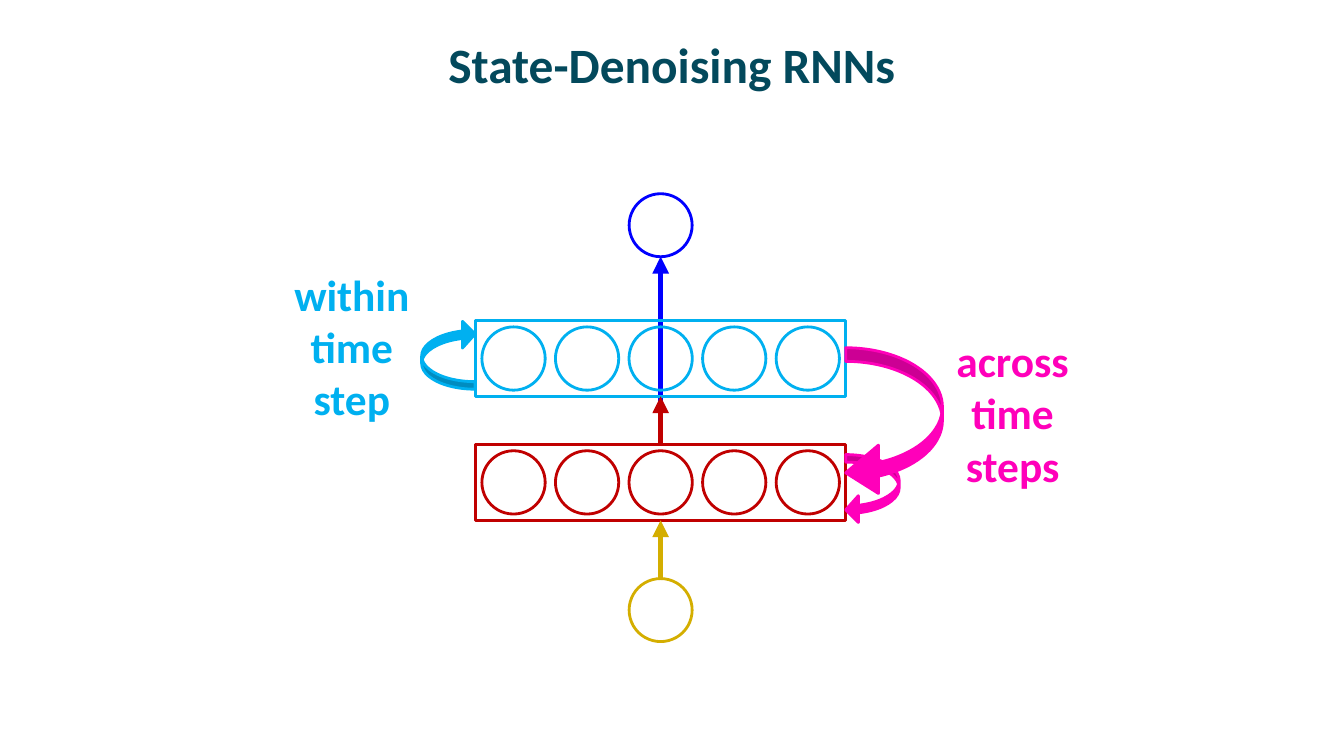
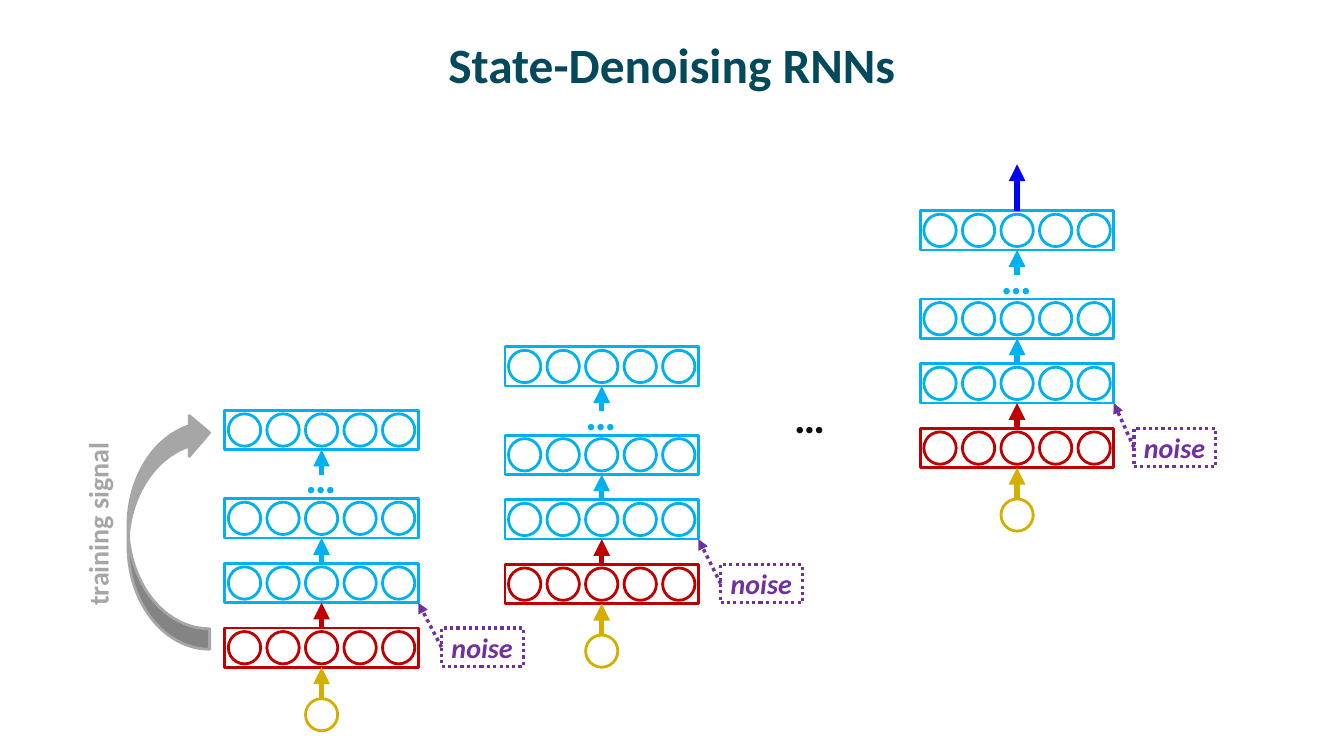
from lxml.etree import SubElement
from pptx import Presentation
from pptx.dml.color import RGBColor
from pptx.enum.dml import MSO_LINE
from pptx.enum.shapes import MSO_CONNECTOR, MSO_SHAPE as SHAPE
from pptx.enum.text import MSO_ANCHOR as ANCHOR, MSO_AUTO_SIZE as FIT, PP_ALIGN as ALIGN
from pptx.oxml.ns import qn
from pptx.util import Pt

# Shared look
FONT = "Calibri"
TITLE = RGBColor(0x03, 0x49, 0x5C)
RED = RGBColor(0xC0, 0x00, 0x00)
BLUE = RGBColor(0x00, 0x00, 0xFF)
CYAN = RGBColor(0x00, 0xB0, 0xF0)
GOLD = RGBColor(0xD4, 0xAE, 0x00)
PINK = RGBColor(0xFF, 0x00, 0xBA)
PURPLE = RGBColor(0x70, 0x30, 0xA0)
GRAY = RGBColor(0xA6, 0xA6, 0xA6)
BLACK = RGBColor(0x0D, 0x0D, 0x0D)

TITLE_FORMAT = {"size": Pt(35.3), "bold": True}
LABEL_FORMAT = {"size": Pt(31), "bold": True}
SIGNAL_FORMAT = {"size": Pt(20), "bold": True}
NOISE_FORMAT = {"size": Pt(20), "bold": True, "italic": True}

TOP, LEFT, BOTTOM = 0, 1, 2
UNITS = 5


def set_all(target, values):
    for name, value in values.items():
        setattr(target, name, value)


# Element kinds
def write(sp, lines, color, fmt, align=ALIGN.LEFT, frame=None):
    tf = sp.text_frame
    set_all(tf, {"word_wrap": False, "auto_size": FIT.SHAPE_TO_FIT_TEXT, **(frame or {})})
    for i, line in enumerate(lines):
        p = tf.add_paragraph() if i else tf.paragraphs[0]
        p.alignment = align
        r = p.add_run()
        r.text = line
        set_all(r.font, {"name": FONT, **fmt})
        r.font.color.rgb = color


def text(s, x, y, w, h, lines, color, fmt, align=ALIGN.LEFT, frame=None):
    sp = s.shapes.add_textbox(Pt(x), Pt(y), Pt(w), Pt(h))
    write(sp, lines, color, fmt, align, frame)
    return sp


def shape(s, kind, x, y, w, h, color, width=2, filled=False):
    sp = s.shapes.add_shape(kind, Pt(x), Pt(y), Pt(w), Pt(h))
    sp.shadow.inherit = False
    if filled:
        sp.fill.solid()
        sp.fill.fore_color.rgb = color
    else:
        sp.fill.background()
    sp.line.color.rgb = color
    sp.line.width = Pt(width)
    return sp


def circle(s, center_x, y, size, color):
    return shape(s, SHAPE.OVAL, center_x - size / 2, y, size, size, color)


def curved_arrow(s, kind, x, y, w, h, color, adjustments=(), rotation=0):
    sp = shape(s, kind, x, y, w, h, color, filled=True)
    for i, value in enumerate(adjustments):
        sp.adjustments[i] = value
    sp.rotation = rotation
    return sp


def arrow(s, start, end, color, width=4, dash=None, begin_at=None, end_at=None):
    """Draw an arrow; begin_at and end_at are (shape, side) pairs to join."""
    cx = s.shapes.add_connector(MSO_CONNECTOR.STRAIGHT, *map(Pt, start + end))
    if begin_at:
        cx.begin_connect(*begin_at)
    if end_at:
        cx.end_connect(*end_at)
    cx.line.color.rgb = color
    cx.line.width = Pt(width)
    if dash:
        cx.line.dash_style = dash
    props = cx._element.spPr
    SubElement(props.find(qn("a:ln")), qn("a:tailEnd"), type="triangle")
    SubElement(props, qn("a:effectLst"))


def layer(s, x, y, w, h, pad, color):
    """Draw a row of evenly spaced units in a frame, and return the frame."""
    size = h - 2 * pad
    pitch = (w - 2 * pad - size) / (UNITS - 1)
    for i in range(UNITS):
        circle(s, x + pad + size / 2 + i * pitch, y + pad, size, color)
    return shape(s, SHAPE.RECTANGLE, x, y, w, h, color)


def dots(s, x, y, color):
    text(s, x, y, 36.5, 44.6, ["…"], color, LABEL_FORMAT)


def noise(s, x, y, target):
    box = shape(s, SHAPE.RECTANGLE, x, y, 58.3, 27.4, PURPLE, 2.25)
    box.line.dash_style = MSO_LINE.ROUND_DOT
    write(box, ["noise"], PURPLE, NOISE_FORMAT,
          frame={"margin_top": Pt(1.44), "margin_bottom": Pt(1.44)})
    arrow(s, (x, y + 13.7), target, PURPLE, 2.5, MSO_LINE.ROUND_DOT, begin_at=(box, LEFT))


def stack(s, x, y, noise_x):
    """Draw one time step whose red layer starts at x, y; return its top layer."""
    w, h, pad = 138.2, 28.1, 2.5
    step = 46.2
    mid = x + w / 2
    circle(s, mid, y + 50.4, 23, GOLD)
    hidden = layer(s, x, y, w, h, pad, RED)
    first, second, last = [layer(s, x, y - rise, w, h, pad, CYAN)
                           for rise in (step, 2 * step, 155.5)]
    arrow(s, (mid, y + 50.4), (mid, y + h), GOLD, end_at=(hidden, BOTTOM))
    for lower, upper, color in ((hidden, first, RED), (first, second, CYAN)):
        arrow(s, (mid, y), (mid, y), color, begin_at=(lower, TOP), end_at=(upper, BOTTOM))
    arrow(s, (mid, y - 109.4), (mid, y - 127.4), CYAN, end_at=(last, BOTTOM))
    dots(s, x + 50.4, y - 130.3, CYAN)
    noise(s, noise_x, y, (x + w, y - step + h))
    return last


# Slides
def new_slide(prs):
    s = prs.slides.add_slide(prs.slide_layouts[6])
    text(s, 48, 12.2, 864, 66.2, ["State-Denoising RNNs"], TITLE, TITLE_FORMAT, ALIGN.CENTER,
         {"word_wrap": True, "auto_size": FIT.NONE, "vertical_anchor": ANCHOR.MIDDLE,
          "margin_top": Pt(4.3), "margin_bottom": Pt(4.3)})
    return s


def loop_slide(prs):
    s = new_slide(prs)
    x, w, h, pad = 339.7, 264.4, 54.2, 4.5
    mid = x + w / 2
    red_y, cyan_y, input_y, output_y, size = 317.5, 229, 413.3, 138.4, 45

    # Network
    hidden = layer(s, x, red_y, w, h, pad, RED)
    circle(s, mid, output_y, size, BLUE)
    arrow(s, (mid, red_y), (mid, output_y + size), BLUE, begin_at=(hidden, TOP))
    circle(s, mid, input_y, size, GOLD)
    arrow(s, (mid, input_y), (mid, red_y + h), GOLD, end_at=(hidden, BOTTOM))
    denoised = layer(s, x, cyan_y, w, h, pad, CYAN)

    # Recurrent loops
    small, large = (0.141, 0.5, 0.238), (0.141, 0.5, 0.339)
    for left, top, width, height, color, adjustments, rotation in (
            (604.1, 324.7, 38.2, 49, PINK, small, 0),
            (604.1, 248.4, 69.1, 106.6, PINK, large, 0),
            (301.2, 229, 38.2, 49, CYAN, small, 180)):
        curved_arrow(s, SHAPE.CURVED_LEFT_ARROW, left, top, width, height,
                     color, adjustments, rotation)
    text(s, 202.3, 187.9, 98, 120.2, ["within", "time", "step"], CYAN, LABEL_FORMAT, ALIGN.CENTER)
    text(s, 675.4, 235.4, 95.8, 120.2, ["across", "time", "steps"], PINK, LABEL_FORMAT,
         ALIGN.CENTER)
    arrow(s, (mid, red_y), (mid, cyan_y + h), RED,
          begin_at=(hidden, TOP), end_at=(denoised, BOTTOM))


def unrolled_slide(prs):
    s = new_slide(prs)

    # Time steps
    for x, y, noise_x in ((160.6, 448.6, 315.4), (360.7, 403.2, 514.8), (657.4, 306, 810)):
        last = stack(s, x, y, noise_x)
    mid = 657.4 + 138.2 / 2
    arrow(s, (mid, 150.5), (mid, 117.4), BLUE, begin_at=(last, TOP))
    dots(s, 560.2, 275, BLACK)

    # Training signal
    signal = curved_arrow(s, SHAPE.CURVED_RIGHT_ARROW, 91.4, 294.5, 58.3, 169.2, GRAY,
                          rotation=180)
    signal._element.spPr.get_or_add_xfrm().set("flipH", "1")
    text(s, 3.6, 357.8, 132.5, 31.7, ["training signal"], GRAY, SIGNAL_FORMAT).rotation = 270


def main():
    prs = Presentation()
    prs.slide_width, prs.slide_height = Pt(960), Pt(540)
    loop_slide(prs)
    unrolled_slide(prs)
    prs.save("out.pptx")


if __name__ == "__main__":
    main()
